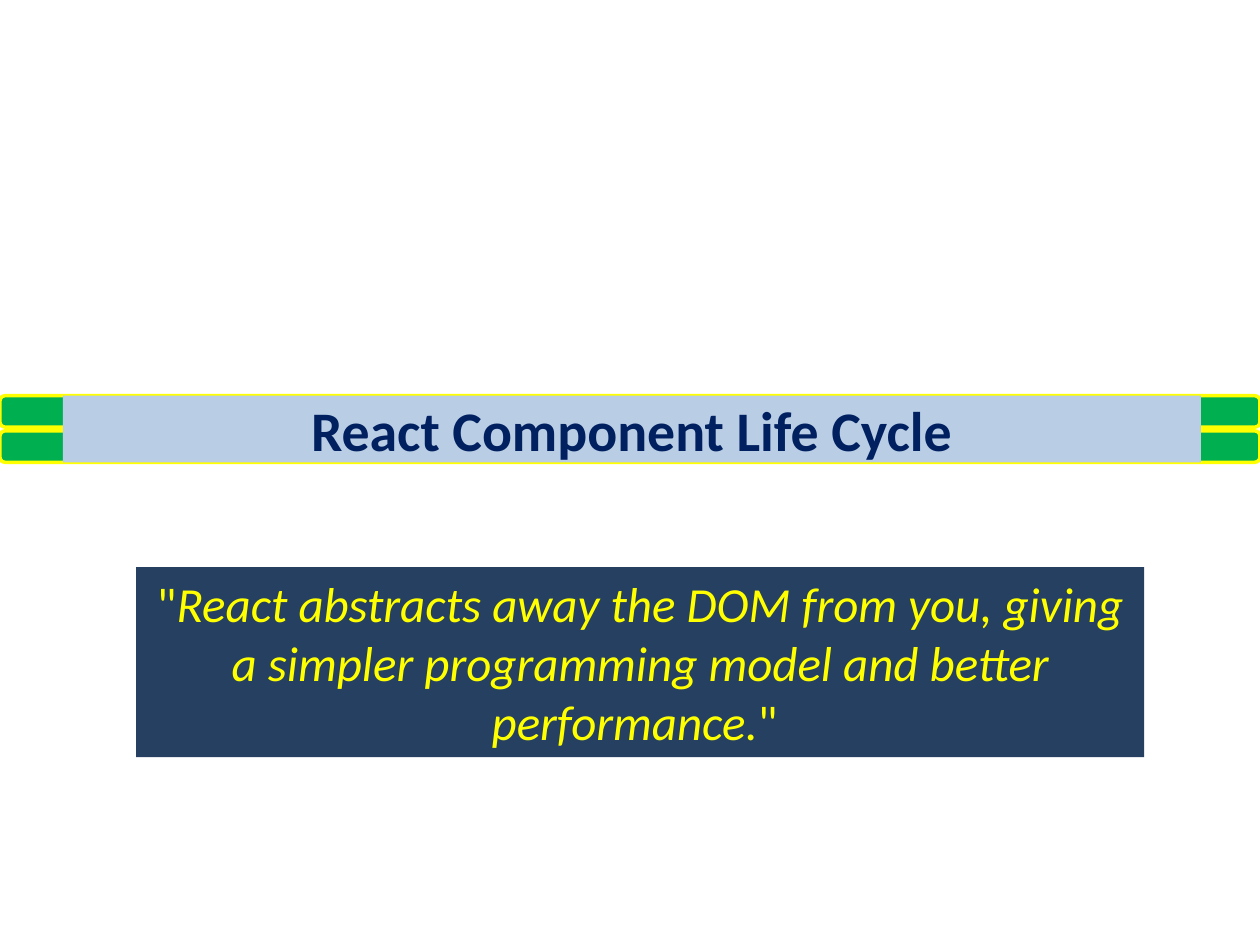
from pptx import Presentation
from pptx.dml.color import RGBColor
from pptx.enum.shapes import MSO_SHAPE as Shape
from pptx.enum.text import MSO_ANCHOR as Anchor, PP_ALIGN as Align
from pptx.util import Pt

SLIDE_WIDTH, SLIDE_HEIGHT = 720, 540
FONT = "Calibri"
GREEN, YELLOW = "00B050", "FFFF00"
PALE_BLUE, NAVY, DARK_BLUE = "B9CDE5", "002060", "254061"


def color(hex_string):
    return RGBColor.from_string(hex_string)


def add_panel(slide, kind, left, top, width, height, fill, outline=None):
    panel = slide.shapes.add_shape(kind, Pt(left), Pt(top), Pt(width), Pt(height))
    panel.shadow.inherit = False
    panel.fill.solid()
    panel.fill.fore_color.rgb = color(fill)
    if outline:
        panel.line.color.rgb = color(outline)
        panel.line.width = Pt(2)
    else:
        panel.line.fill.background()
    return panel


def write(panel, runs, size, text_color, bold=False, space_before=0):
    """Write one centred paragraph from (text, italic) pairs."""
    frame = panel.text_frame
    frame.word_wrap = True
    frame.vertical_anchor = Anchor.MIDDLE
    paragraph = frame.paragraphs[0]
    paragraph.alignment = Align.CENTER
    paragraph.space_before = Pt(space_before)
    font = paragraph.font
    font.name, font.size, font.bold = FONT, Pt(size), bold
    font.color.rgb = color(text_color)
    for text, italic in runs:
        run = paragraph.add_run()
        run.text = text
        run.font.italic = italic


def main():
    deck = Presentation()
    deck.slide_width, deck.slide_height = Pt(SLIDE_WIDTH), Pt(SLIDE_HEIGHT)
    slide = deck.slides.add_slide(deck.slide_layouts[6])

    # Green stripes behind the title
    for stripe_top in (246.2, 226.1):
        add_panel(slide, Shape.ROUNDED_RECTANGLE, 0, stripe_top,
                  SLIDE_WIDTH, 18, GREEN, YELLOW)

    # Title band
    title = add_panel(slide, Shape.RECTANGLE, 36, 226.1, 650.2, 38.2, PALE_BLUE)
    write(title, [("React Component Life Cycle", False)], 31.9, NAVY,
          bold=True, space_before=11)

    # Quotation
    quote = add_panel(slide, Shape.RECTANGLE, 77.8, 324, 576, 108.7, DARK_BLUE)
    write(quote, [
        ('"', False),
        ("React abstracts away the DOM from you, giving a simpler "
         "programming model and better performance.", True),
        ('" ', False),
    ], 28, YELLOW)

    deck.save("out.pptx")


if __name__ == "__main__":
    main()
